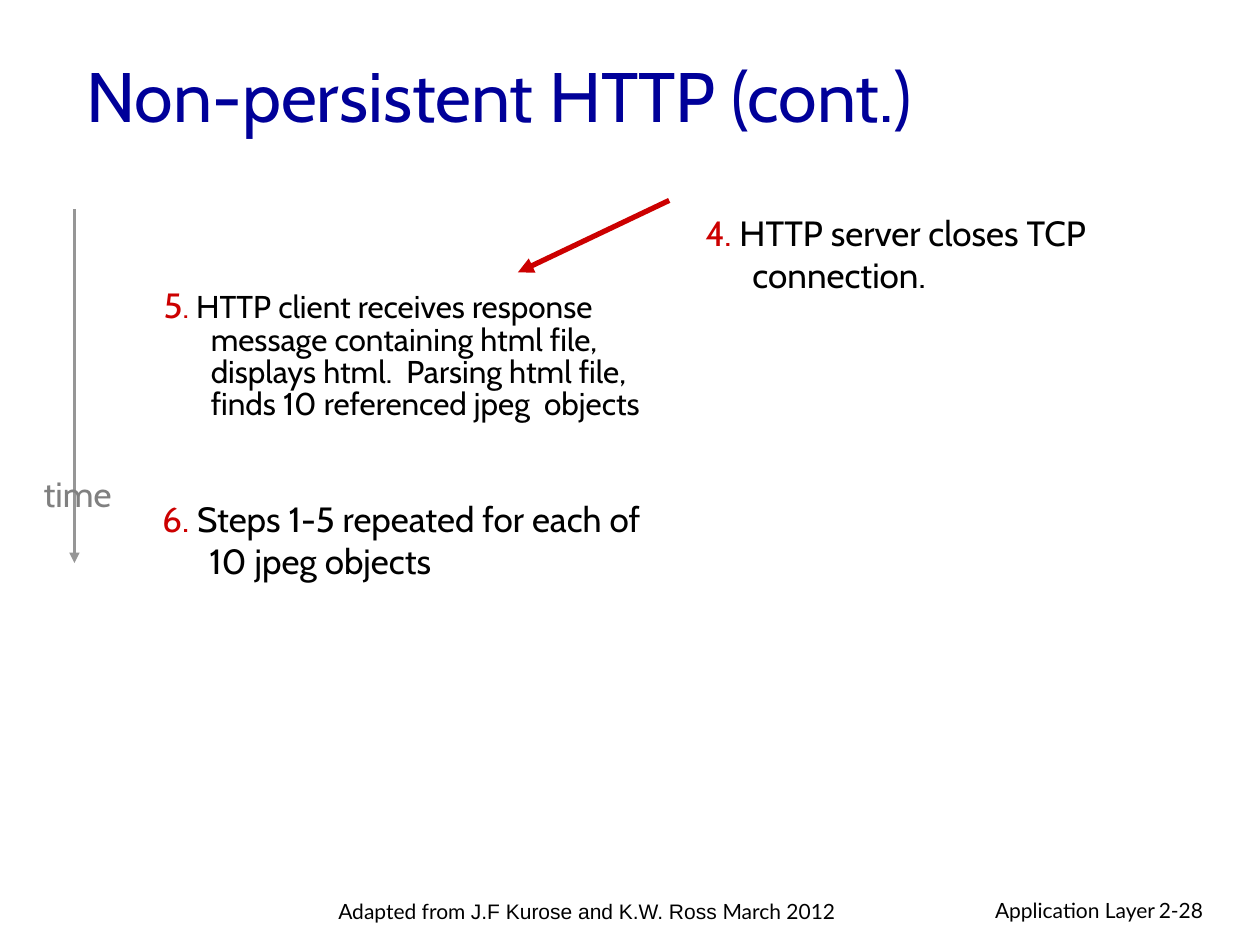
from pptx import Presentation, util as u
from pptx.dml.color import RGBColor
from pptx.enum import shapes, text
from pptx.oxml.ns import qn
from lxml import etree

COLOURS = {"ink": "000000", "title": "000099", "accent": "CC0000", "axis": "969696", "time": "808080"}


class Slide:
    """Hold the style and the current slide, and draw each kind of element."""

    heading, small = "Cabin", "Lato"
    step_width, hanging = 10.59, 0.95

    def __init__(self, deck):
        self.slide = deck.slides.add_slide(deck.slide_layouts[6])

    def colour(self, name):
        return RGBColor.from_string(COLOURS[name])

    def label(self, place, pieces, align=text.PP_ALIGN.LEFT, anchor=text.MSO_ANCHOR.TOP, wrap=True):
        frame = self.slide.shapes.add_textbox(*map(u.Cm, place)).text_frame
        frame.word_wrap = wrap
        frame.vertical_anchor = anchor
        paragraph = frame.paragraphs[0]
        paragraph.alignment = align
        for words, size, face, colour in pieces:
            run = paragraph.add_run()
            run.text = words
            run.font.size = u.Pt(size)
            run.font.name = face
            run.font.color.rgb = self.colour(colour)
        return paragraph

    def footer(self, place, *pieces, align=text.PP_ALIGN.LEFT):
        self.label(place, [(words, 12, face, "ink") for words, face in pieces], align)

    def step(self, left, top, height, number, words, dot_size=20, size=20, spacing=None):
        pieces = [(number, 20, self.heading, "accent"), (".", dot_size, self.heading, "accent"),
                  (" " + words, size, self.heading, "ink")]
        paragraph = self.label((left, top, self.step_width, height), pieces)
        paragraph.line_spacing = spacing
        indent = u.Cm(self.hanging)
        properties = paragraph._p.get_or_add_pPr()
        properties.set("marL", str(indent))
        properties.set("indent", str(-indent))

    def arrow(self, start, end, colour, width):
        arrow = self.slide.shapes.add_connector(
            shapes.MSO_CONNECTOR.STRAIGHT, *map(u.Cm, start + end))
        arrow.line.color.rgb = self.colour(colour)
        arrow.line.width = u.Pt(width)
        etree.SubElement(arrow.line._get_or_add_ln(), qn("a:tailEnd"), type="triangle")
        etree.SubElement(arrow._element.spPr, qn("a:effectLst"))


def main():
    deck = Presentation()
    deck.slide_width, deck.slide_height = u.Cm(25.4), u.Cm(19.05)
    page = Slide(deck)
    page.footer((15.49, 17.96, 8.05, 0.79), ("Application Layer", page.small), align=text.PP_ALIGN.RIGHT)
    page.footer((23.11, 17.96, 1.88, 0.76), ("2-28", page.small))
    page.label((1.5, 0.71, 21.59, 2.41), [("Non-persistent HTTP (cont.)", 40, page.heading, "title")],
               anchor=text.MSO_ANCHOR.MIDDLE)
    page.step(3.05, 5.72, 4.27, "5",
              "HTTP client receives response message containing html file, displays html.  "
              "Parsing html file, finds 10 referenced jpeg  objects",
              dot_size=18, size=18, spacing=0.85)
    page.step(3.02, 9.91, 1.85, "6", "Steps 1-5 repeated for each of 10 jpeg objects")
    page.step(13.97, 4.14, 2.03, "4", "HTTP server closes TCP connection.")
    page.arrow((1.5, 4.22), (1.5, 11.35), "axis", 1.5)
    page.label((0.56, 9.4, 2.01, 1.12), [("time", 20, page.heading, "time")],
               align=text.PP_ALIGN.CENTER, wrap=False)
    page.arrow((13.49, 4.04), (10.44, 5.49), "accent", 3)
    page.footer((5.38, 17.98, 12.9, 0.61), ("Adapted from ", page.small),
                ("J.F Kurose and K.W. Ross", "Arial"), (" March 2012", page.small),
                align=text.PP_ALIGN.CENTER)
    deck.save("out.pptx")


if __name__ == "__main__":
    main()
